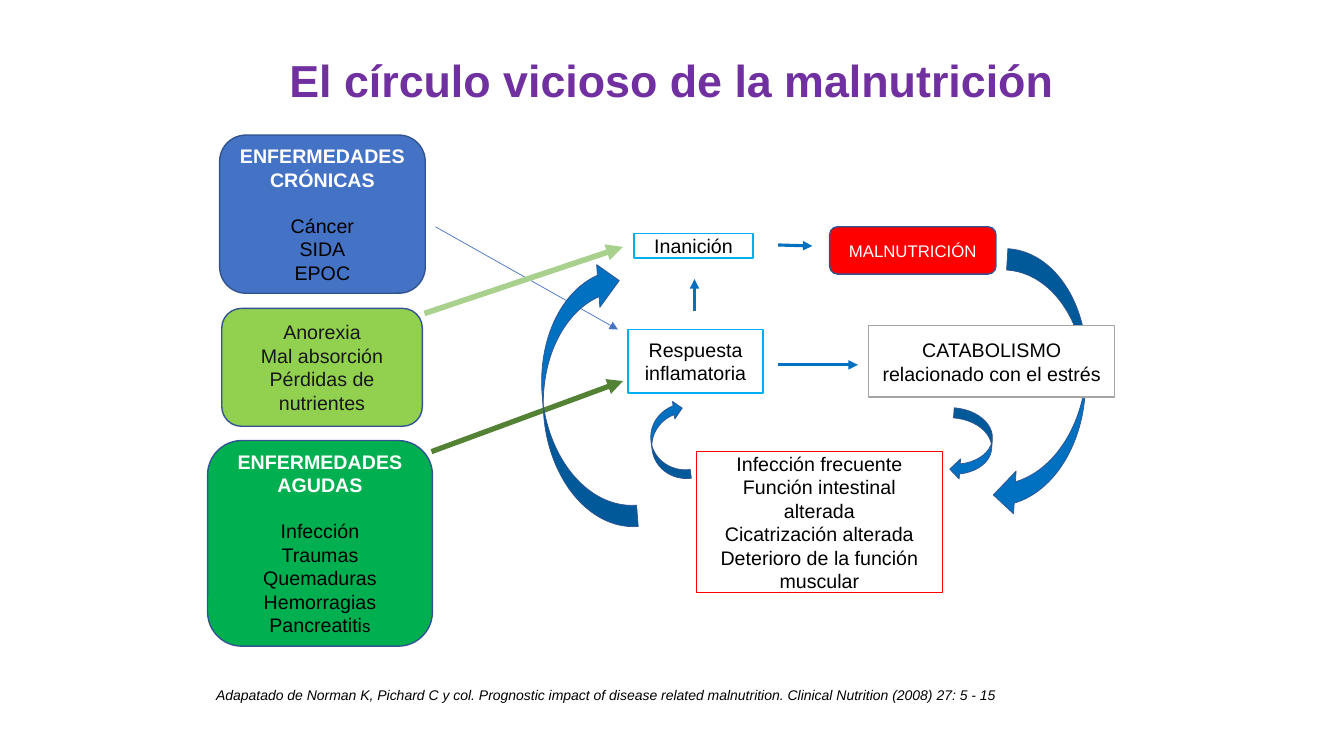
from lxml import etree
from pptx import Presentation
from pptx.dml.color import RGBColor
from pptx.enum.shapes import MSO_CONNECTOR, MSO_SHAPE
from pptx.enum.text import MSO_ANCHOR, MSO_AUTO_SIZE, PP_ALIGN
from pptx.oxml.ns import qn
from pptx.util import Pt

STRAIGHT = MSO_CONNECTOR.STRAIGHT
RECTANGLE = MSO_SHAPE.RECTANGLE
ROUNDED = MSO_SHAPE.ROUNDED_RECTANGLE
CURVED = MSO_SHAPE.CURVED_LEFT_ARROW
TOP, MIDDLE = MSO_ANCHOR.TOP, MSO_ANCHOR.MIDDLE
NO_FIT = MSO_AUTO_SIZE.NONE
CENTER, RIGHT = PP_ALIGN.CENTER, PP_ALIGN.RIGHT

BLACK, WHITE = "000000", "FFFFFF"
BLUE, OUTLINE, SKY = "0070C0", "325491", "00B0F0"
BODY = {"size": 14, "color": BLACK}
HEADING = {"size": 14, "color": WHITE, "bold": True}
FRAME = {"word_wrap": True, "vertical_anchor": MIDDLE}


def rgb(value):
    """Turn a hex string into a colour."""
    return RGBColor.from_string(value)


def set_all(target, values):
    """Set attributes of an object from a dict."""
    for name, value in values.items():
        setattr(target, name, value)


def place(shape, box):
    """Give a shape its left, top, width and height in points."""
    names = ("left", "top", "width", "height")
    set_all(shape, {name: Pt(value) for name, value in zip(names, box)})


def shift(origin, box):
    """Move a box from a region's own coordinates to the page."""
    return (origin[0] + box[0], origin[1] + box[1], *box[2:])


def add_span(para, text, style):
    """Add a run of text in the given style."""
    span = para.add_run()
    span.text = text
    font = {"name": "Arial", **style, "size": Pt(style["size"])}
    span.font.color.rgb = rgb(font.pop("color"))
    set_all(span.font, font)


def write(frame, paragraphs, alignment=CENTER):
    """Fill a text frame with (style, spans...) paragraphs and return them."""
    for index, (style, *texts) in enumerate(paragraphs):
        para = frame.add_paragraph() if index else frame.paragraphs[0]
        para.alignment = alignment
        for text in texts:
            add_span(para, text, style)
    return frame.paragraphs


def add_block(page, kind, box, fill, line, width=1):
    """Add a filled and outlined preset shape."""
    block = page.shapes.add_shape(kind, *map(Pt, box))
    block.shadow.inherit = False
    block.fill.solid()
    block.fill.fore_color.rgb = rgb(fill)
    block.line.color.rgb = rgb(line)
    block.line.width = Pt(width)
    return block


def add_label(page, kind, box, fill, line, paragraphs):
    """Add a block with centred text and return its paragraphs."""
    block = add_block(page, kind, box, fill, line)
    set_all(block.text_frame, FRAME)
    return write(block.text_frame, paragraphs)


def add_arrow(page, start, end, color, width):
    """Add a straight arrow."""
    arrow = page.shapes.add_connector(STRAIGHT, *map(Pt, (*start, *end)))
    arrow.line.color.rgb = rgb(color)
    arrow.line.width = Pt(width)
    properties = arrow._element.spPr
    head = etree.SubElement(properties.find(qn("a:ln")), qn("a:tailEnd"))
    head.set("type", "triangle")
    etree.SubElement(properties, qn("a:effectLst"))


def add_title(page, box):
    """Format the title placeholder."""
    title = page.shapes.title
    place(title, box)
    frame = title.text_frame
    set_all(frame, {"word_wrap": True, "vertical_anchor": TOP, "auto_size": NO_FIT})
    style = {"size": 32, "color": "7030A0", "bold": True}
    paras = write(frame, [(style, "El círculo vicioso de la malnutrición")])
    paras[0].line_spacing = 0.9


def add_causes(page, origin):
    """Add the column of diseases that start the circle."""
    dark = {**BODY, "color": "181717"}
    chronic = [(HEADING, "ENFERMEDADES CRÓNICAS")]
    chronic += [(BODY, name) for name in ("Cáncer", "SIDA", "EPOC")]
    intake = [(dark, "Anorexia"), (dark, "Mal absorción Pérdidas de nutrientes")]
    acute = [(HEADING, "ENFERMEDADES"), (HEADING, "AGUDAS")]
    names = ("Infección", "Traumas", "Quemaduras", "Hemorragias", "Pancreatiti")
    acute += [(BODY, name) for name in names]
    causes = [
        ((8.6, 0, 146.9, 113), "4472C4", chronic, 1),
        ((10.1, 123.8, 143.3, 84.2), "92D050", intake, None),
        ((0, 218.2, 160.6, 146.9), "00B050", acute, 2),
    ]
    for box, fill, paragraphs, first_item in causes:
        paras = add_label(page, ROUNDED, shift(origin, box), fill, OUTLINE, paragraphs)
        if first_item:
            paras[first_item].space_before = Pt(16)
    add_span(paras[-1], "s", {**BODY, "size": 12})


def add_cycle(page, origin):
    """Add the circle of effects and the arrows that lead around it."""
    effects = [
        (RECTANGLE, (65.5, 5, 85, 17.3), WHITE, SKY, [(BODY, "Inanición")]),
        (RECTANGLE, (61.2, 73.4, 96.5, 45.4), WHITE, SKY,
         [(BODY, "Respuesta inflamatoria")]),
        (ROUNDED, (205.2, 0, 118.8, 33.8), "FF0000", OUTLINE,
         [({"size": 12, "color": WHITE}, "MALNUTRICIÓN")]),
        (RECTANGLE, (110.1, 160.6, 175.7, 100.8), WHITE, "FF0000",
         [(BODY, "Infección frecuente"), (BODY, "Función intestinal alterada"),
          (BODY, "Cicatrización alterada"), (BODY, "Deterioro de la función muscular")]),
    ]
    straight = [
        ((-76.3, 0), (54, 73.4), "4472C4", 0.5),
        ((-84.2, 61.9), (57.6, 14.4), "A9D18E", 4),
        ((-79.2, 160.6), (57.6, 110.2), "548235", 3.75),
        ((168.5, 98.6), (225.4, 98.6), BLUE, 2.25),
        ((108.7, 60.5), (108.7, 37.4), BLUE, 2.25),
        ((168.5, 13), (192.9, 13.7), BLUE, 2.25),
    ]
    curved = [
        ((0, 25.2, 61.2, 191.5), 175.6),
        ((326.8, 17.3, 61.2, 191.5), 3.4),
        ((292.3, 130.3, 28.8, 51.1), 4.2),
        ((77.7, 124.6, 25.2, 56.9), 172.6),
    ]
    for kind, box, *look in effects:
        add_label(page, kind, shift(origin, box), *look)
    for start, end, color, width in straight:
        add_arrow(page, shift(origin, start), shift(origin, end), color, width)
    for box, angle in curved:
        arrow = add_block(page, CURVED, shift(origin, box), BLUE, OUTLINE, 0.5)
        arrow.rotation = angle
    add_label(page, RECTANGLE, shift(origin, (233.2, 70.6, 175.7, 51.1)), WHITE,
              "A5A5A5", [(BODY, "CATABOLISMO relacionado con el estrés")])


def add_source(page, box):
    """Add the reference at the foot of the page."""
    note = page.shapes.add_textbox(*map(Pt, box))
    note.text_frame.word_wrap = True
    style = {"size": 10, "color": BLACK, "italic": True}
    text = ("Adapatado de Norman K, Pichard C y col. Prognostic impact of disease "
            "related malnutrition. Clinical Nutrition (2008) 27: 5 - 15")
    write(note.text_frame, [(style, text)], RIGHT)


def main():
    """Build the deck and save it."""
    deck = Presentation()
    set_all(deck, {"slide_width": Pt(960), "slide_height": Pt(540)})
    page = deck.slides.add_slide(deck.slide_layouts[5])
    add_title(page, (120, 38.2, 720, 71.3))
    add_causes(page, (148.3, 96.5))
    add_cycle(page, (387.4, 162))
    add_source(page, (136.8, 486.7, 581, 19.4))
    deck.save("out.pptx")


if __name__ == "__main__":
    main()
